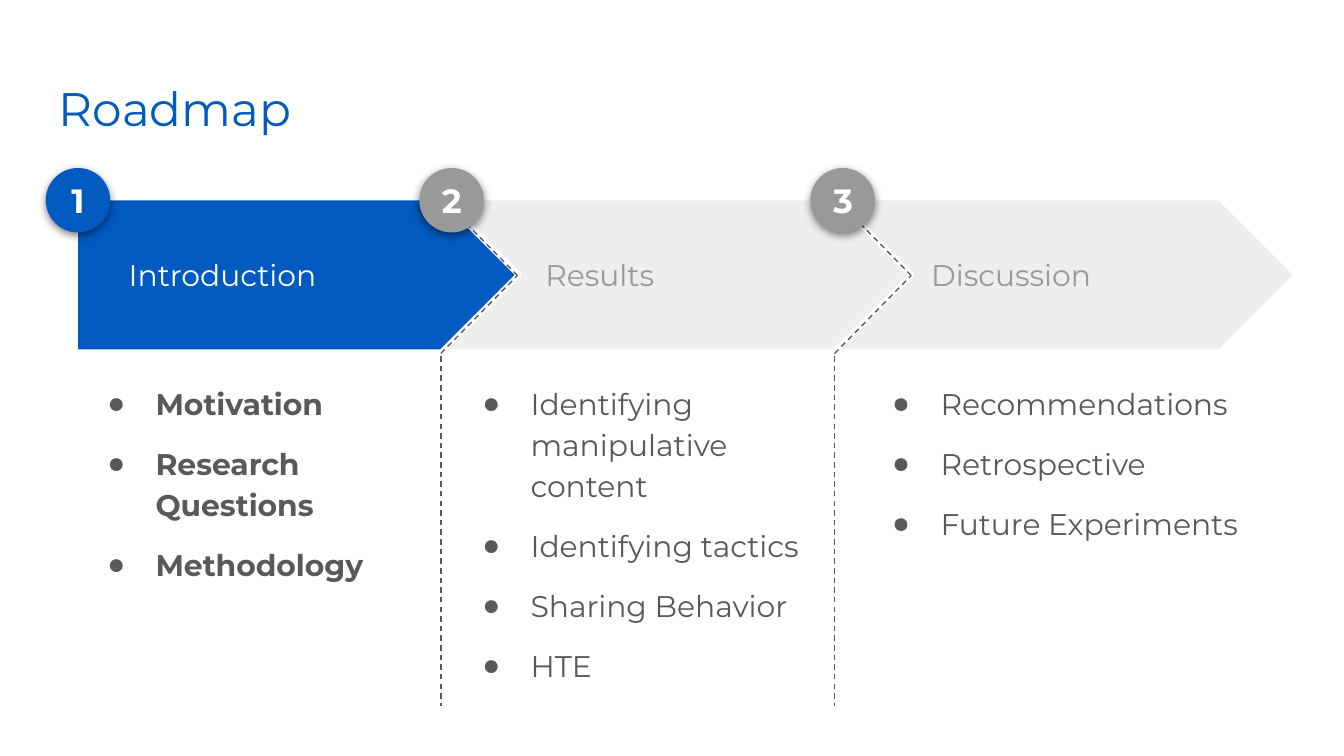
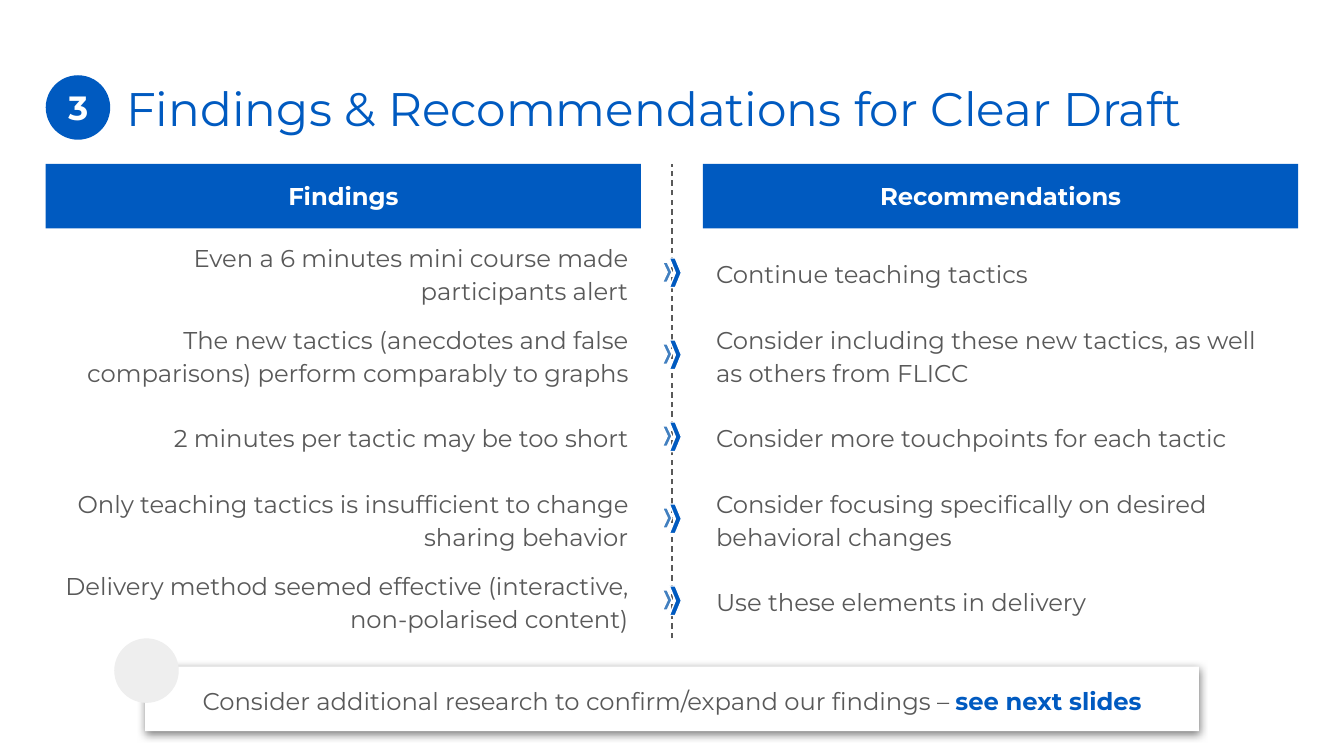
from lxml.etree import SubElement
from pptx import Presentation
from pptx.dml.color import RGBColor
from pptx.enum.dml import MSO_LINE
from pptx.enum.shapes import MSO_CONNECTOR, MSO_SHAPE as PRESET
from pptx.enum.text import MSO_ANCHOR as ANCHOR, PP_ALIGN as ALIGN
from pptx.oxml.ns import qn
from pptx.util import Pt

PX = 9144  # 100 px to the inch
FONT, BULLET_FONT = "Montserrat", "Arial"
BLUE, LIGHT_BLUE, WHITE = "005AC0", "4280C0", "FFFFFF"
TEXT_GRAY, MID_GRAY, PALE_GRAY = "595959", "999999", "EEEEEE"
TITLE_BOX = (34, 49, 932, 63)
TITLE_STYLE = dict(size=25.2, color=BLUE, anchor=ANCHOR.TOP)
BADGE = 48
BADGE_STYLE = dict(size=18, color=WHITE, bold=True)
color_of = RGBColor.from_string


def add_box(shapes, preset, box, lines=(), fill=None, outline=None, shadow=False,
            size=13, color=TEXT_GRAY, bold=False, align=ALIGN.LEFT,
            anchor=ANCHOR.MIDDLE, indent=0, bullets=False,
            line_spacing=None, before=0, after=0):
    """Add a preset shape, or a text box if preset is None; outline is a width in points."""
    box = [value * PX for value in box]
    if preset is None:
        shape = shapes.add_textbox(*box)
    else:
        shape = shapes.add_shape(preset, *box)
    shape.shadow.inherit = False
    if fill:
        shape.fill.solid()
        shape.fill.fore_color.rgb = color_of(fill)
    if outline:
        shape.line.color.rgb = color_of(WHITE)
        shape.line.width = Pt(outline)
    else:
        shape.line.fill.background()
    if shadow:
        effects = shape._element.spPr.find(qn("a:effectLst"))
        outer = SubElement(effects, qn("a:outerShdw"), blurRad="57150", dist="19050",
                           dir="5400000", algn="bl", rotWithShape="0")
        tint = SubElement(outer, qn("a:srgbClr"), val="000000")
        SubElement(tint, qn("a:alpha"), val="50000")

    frame = shape.text_frame
    frame.word_wrap = True
    frame.vertical_anchor = anchor
    frame.margin_left = frame.margin_right = 10 * PX
    frame.margin_top = frame.margin_bottom = 10 * PX
    for index, text in enumerate(lines):
        paragraph = frame.add_paragraph() if index else frame.paragraphs[0]
        properties = paragraph._p.get_or_add_pPr()
        properties.set("marL", str(indent * PX))
        properties.set("indent", str(-36 * PX if bullets else 0))
        if bullets:
            bullet_color = SubElement(properties, qn("a:buClr"))
            SubElement(bullet_color, qn("a:srgbClr"), val=color)
            SubElement(properties, qn("a:buFont"), typeface=BULLET_FONT)
            SubElement(properties, qn("a:buChar"), char="●")
        paragraph.alignment = align
        if line_spacing:
            paragraph.line_spacing = line_spacing
        paragraph.space_before = Pt(before if index else 0)
        paragraph.space_after = Pt(after if index == len(lines) - 1 else 0)
        run = paragraph.add_run()
        run.text = text
        run.font.name = FONT
        run.font.size = Pt(size)
        run.font.bold = bold
        run.font.color.rgb = color_of(color)
    return shape


def add_dashed_line(shapes, *ends):
    line = shapes.add_connector(MSO_CONNECTOR.STRAIGHT, *[value * PX for value in ends])
    line.line.color.rgb = color_of(TEXT_GRAY)
    line.line.width = Pt(0.75)
    line.line.dash_style = MSO_LINE.DASH
    SubElement(line._element.spPr, qn("a:effectLst"))


presentation = Presentation()
presentation.slide_width = 1000 * PX
presentation.slide_height = presentation.slide_width * 9 // 16
blank = presentation.slide_layouts[6]

# Roadmap
shapes = presentation.slides.add_slide(blank).shapes
add_box(shapes, None, TITLE_BOX, ["Roadmap"], **TITLE_STYLE)

# Name, arrow left and width, text indent, arrow fill, text colour
stages = [
    ("Introduction", 56, 330, 30, BLUE, WHITE),
    ("Results", 316, 362, 80, PALE_GRAY, MID_GRAY),
    ("Discussion", 603, 362, 80, PALE_GRAY, MID_GRAY),
]
for name, left, width, indent, fill, color in reversed(stages):
    add_box(shapes, PRESET.PENTAGON, (left, 147, width, 115), [name], fill=fill,
            outline=3, size=16, color=color, indent=indent)

topics = [
    (56, 280, True, ["Motivation", "Research Questions", "Methodology"]),
    (335, 280, False, ["Identifying manipulative content", "Identifying tactics",
                       "Sharing Behavior", "HTE"]),
    (640, 300, False, ["Recommendations", "Retrospective", "Future Experiments"]),
]
for left, width, bold, lines in topics:
    add_box(shapes, None, (left, 273, width, 252), lines, fill=WHITE, size=16, bold=bold,
            anchor=ANCHOR.TOP, indent=50, bullets=True, line_spacing=1.15,
            before=10, after=10)

for left in (328, 621):
    tip = left + 57
    add_dashed_line(shapes, left, 265, left, 525)
    add_dashed_line(shapes, left, 263, tip, 205)
    add_dashed_line(shapes, left + 4, 151, tip, 205)

for number, left, fill in (("1", 34, BLUE), ("2", 312, MID_GRAY), ("3", 603, MID_GRAY)):
    add_box(shapes, PRESET.OVAL, (left, 125, BADGE, BADGE), [number], fill=fill,
            shadow=True, align=ALIGN.CENTER, **BADGE_STYLE)

# Findings and recommendations
shapes = presentation.slides.add_slide(blank).shapes
add_box(shapes, None, TITLE_BOX, ["Findings & Recommendations for Clear Draft"],
        indent=50, **TITLE_STYLE)
add_box(shapes, PRESET.OVAL, (34, 56, BADGE, BADGE), ["3"], fill=BLUE, **BADGE_STYLE)
add_dashed_line(shapes, 500, 475, 500, 122)

columns = [
    (34, ALIGN.RIGHT, "Findings", [
        "Even a 6 minutes mini course made participants alert",
        "The new tactics (anecdotes and false comparisons) perform comparably to graphs",
        "2 minutes per tactic may be too short",
        "Only teaching tactics is insufficient to change sharing behavior",
        "Delivery method seemed effective (interactive, non-polarised content)",
    ]),
    (523, ALIGN.LEFT, "Recommendations", [
        "Continue teaching tactics",
        "Consider including these new tactics, as well as others from FLICC",
        "Consider more touchpoints for each tactic",
        "Consider focusing specifically on desired behavioral changes",
        "Use these elements in delivery",
    ]),
]
ROW_PITCH = 61
for left, align, heading, entries in columns:
    add_box(shapes, PRESET.RECTANGLE, (left, 122, 443, 48), [heading], fill=BLUE,
            color=WHITE, bold=True, align=ALIGN.CENTER, after=10)
    for row, entry in enumerate(entries):
        add_box(shapes, None, (left, 171 + row * ROW_PITCH, 443, 63), [entry],
                align=align, line_spacing=1.15, after=12)

for row in range(5):
    top = 192 + row * ROW_PITCH
    arrow = shapes.add_group_shape().shapes
    add_box(arrow, PRESET.CHEVRON, (498, top, 9, 22), fill=BLUE, outline=0.75)
    add_box(arrow, PRESET.CHEVRON, (493, top + 3, 7, 15), fill=LIGHT_BLUE, outline=0.75)

note = add_box(shapes, PRESET.RECTANGLE, (108, 496, 784, 48),
               ["Consider additional research to confirm/expand our findings –"],
               fill=WHITE, shadow=True, align=ALIGN.CENTER, line_spacing=1.15, after=12)
pointer = note.text_frame.paragraphs[0].add_run()
pointer.text = " see next slides"
pointer.font.name = FONT
pointer.font.size = Pt(13)
pointer.font.bold = True
pointer.font.color.rgb = color_of(BLUE)
add_box(shapes, PRESET.OVAL, (85, 475, BADGE, BADGE), fill=PALE_GRAY)

presentation.save("out.pptx")
